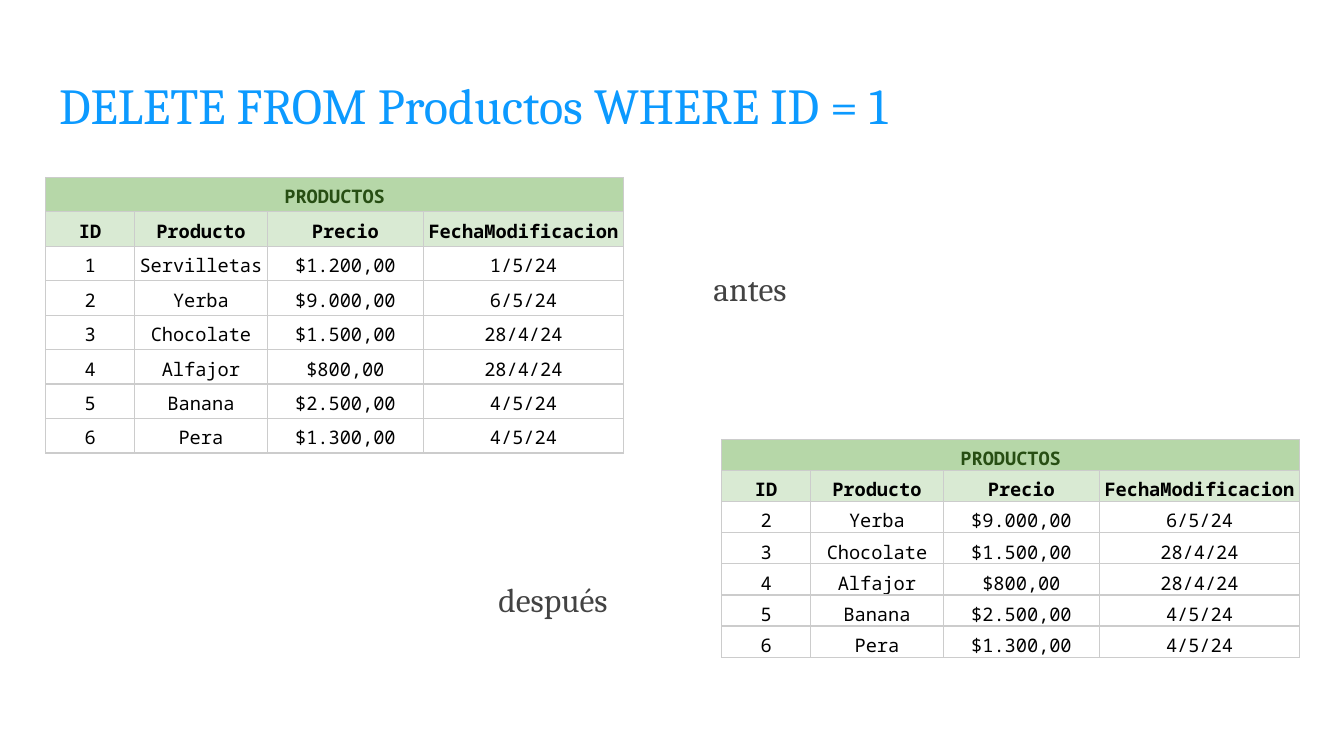
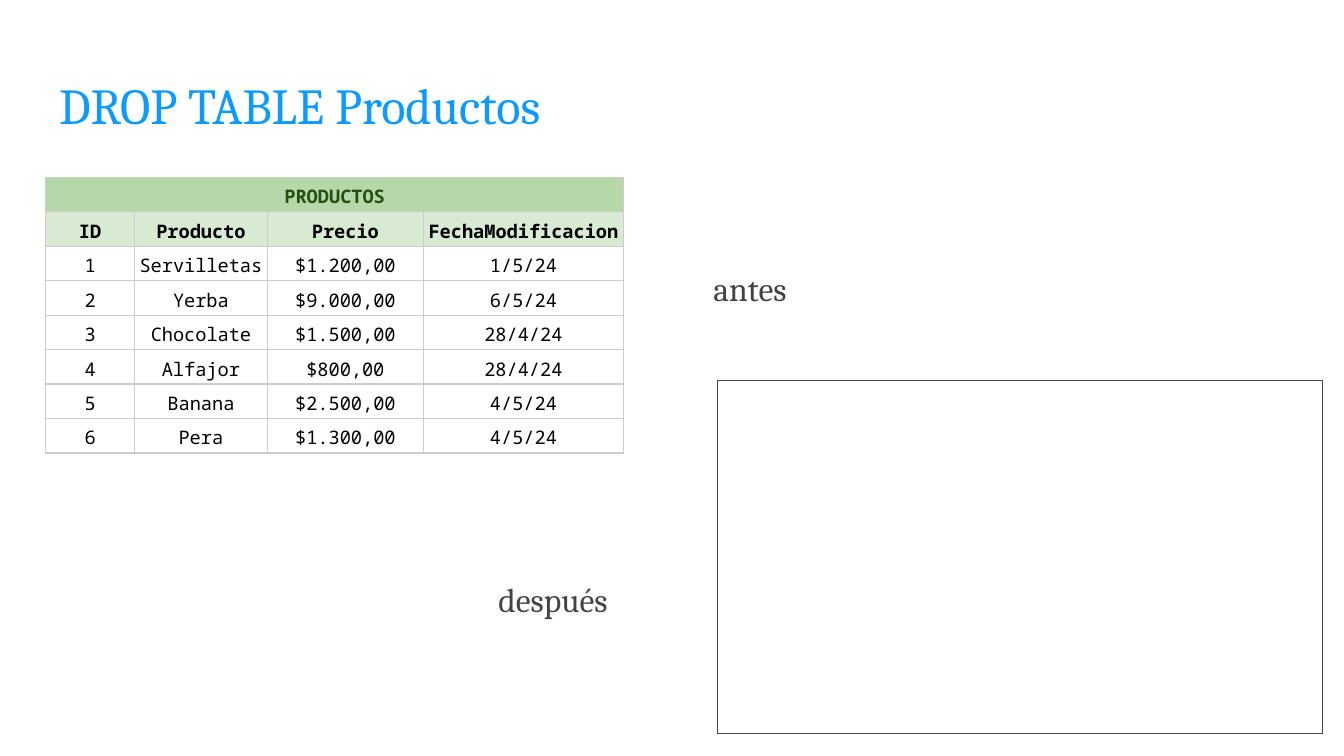
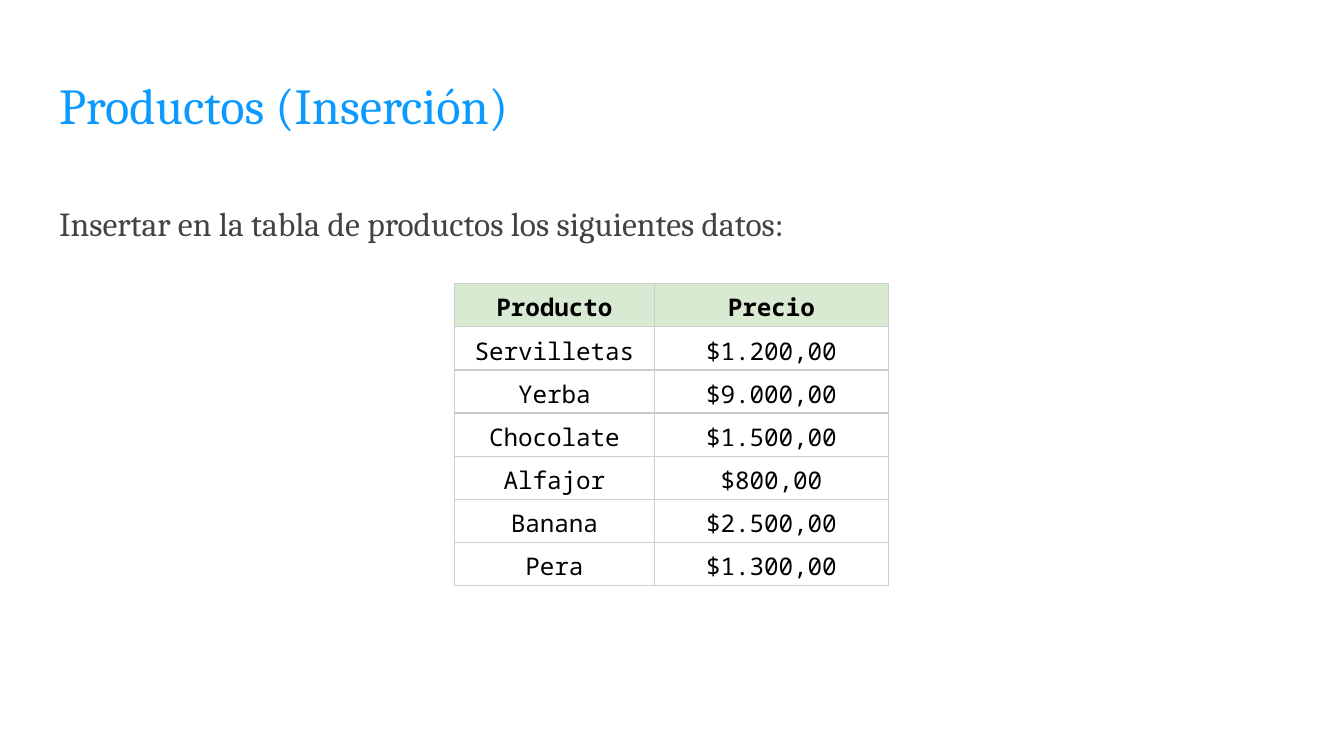
from lxml.etree import SubElement as Sub
from pptx import Presentation
from pptx.dml.color import RGBColor
from pptx.enum.shapes import MSO_SHAPE as Shape
from pptx.enum.text import MSO_ANCHOR as Anchor, MSO_AUTO_SIZE as Fit, PP_ALIGN as Align
from pptx.oxml.ns import qn
from pptx.util import Inches, Pt

# Shared style
HEX = {"title": "0C9AFF", "text": "434343", "rule": "CCCCCC", "band": "B6D7A8",
       "head": "D9EAD3", "name": "274E13", "cell": "000000"}
SERIF, MONO = "Cambria", "Noto Sans Mono"
WIDE, HIGH = Inches(10), Inches(5.625)

# Places, in percent of the slide's width and height
TITLE = (3.4, 8, 93.2, 11.73)
BODY = (3.4, 19.73, 93.2, 64.89)
LEFT, RIGHT, MID = (3.4, 23.47), (53.7, 58.13), (33.8, 37.51)
BEFORE, AFTER = (52.1, 33.6), (36.1, 74.84)
EMPTY = (53.4, 50.31, 45, 46.76)
LINE = 8.9

# Table data
HEADS = ["ID", "Producto", "Precio", "FechaModificacion"]
GOODS = [
    ["1", "Servilletas", "$1.200,00", "1/5/24"],
    ["2", "Yerba", "$9.000,00", "6/5/24"],
    ["3", "Chocolate", "$1.500,00", "28/4/24"],
    ["4", "Alfajor", "$800,00", "28/4/24"],
    ["5", "Banana", "$2.500,00", "4/5/24"],
    ["6", "Pera", "$1.300,00", "4/5/24"],
]
WIDTHS = [6.6, 9.9, 11.6, 14.9]


def across(share):
    return int(WIDE * share / 100)


def down(share):
    return int(HIGH * share / 100)


def box(x, y, w, h):
    return across(x), down(y), across(w), down(h)


def tint(key):
    return RGBColor.from_string(HEX[key])


def write(frame, text, size, color, face=SERIF, bold=False, pad=(0.1, 0.1)):
    """Fill a frame with one paragraph and return that paragraph."""
    frame.text = text
    frame.word_wrap = True
    frame.margin_left = frame.margin_right = Inches(pad[0])
    frame.margin_top = frame.margin_bottom = Inches(pad[1])
    para = frame.paragraphs[0]
    para.alignment = Align.LEFT
    for run in para.runs:
        font = run.font
        font.size, font.name, font.bold = Pt(size), face, bold
        font.color.rgb = tint(color)
    return para


def fill_holder(holder, place, text, size, color):
    holder.left, holder.top, holder.width, holder.height = box(*place)
    frame = holder.text_frame
    para = write(frame, text, size, color)
    frame.auto_size = Fit.NONE
    frame.vertical_anchor = Anchor.TOP
    return para


def add_page(deck, title, layout=5):
    page = deck.slides.add_slide(deck.slide_layouts[layout])
    fill_holder(page.shapes.title, TITLE, title, 27, "title")
    return page


def add_intro(page, text):
    para = fill_holder(page.placeholders[1], BODY, text, 18, "text")
    para.line_spacing = 2.0
    para.space_before, para.space_after = Pt(0), Pt(12)
    props = para._p.get_or_add_pPr()
    props.set("marL", "0")
    props.set("indent", "0")
    Sub(props, qn("a:buNone"))


def add_label(page, spot, width, text):
    label = page.shapes.add_textbox(*box(*spot, width, LINE))
    write(label.text_frame, text, 18, "text")
    label.text_frame.auto_size = Fit.SHAPE_TO_FIT_TEXT


def add_rules(cell):
    props = cell._tc.get_or_add_tcPr()
    for side in ("lnL", "lnR", "lnT", "lnB"):
        rule = Sub(props, qn("a:" + side), w=str(Pt(0.75)))
        Sub(Sub(rule, qn("a:solidFill")), qn("a:srgbClr"), val=HEX["rule"])


def add_grid(page, spot, rows, widths, height, size, anchor, name=None):
    """Add a table with a header row and, if named, a merged band on top."""
    lead = 1 if name else 0
    if name:
        rows = [[name] + [""] * (len(widths) - 1)] + rows
    place = box(*spot, sum(widths), height * len(rows))
    grid = page.shapes.add_table(len(rows), len(widths), *place).table
    grid.first_row = grid.horz_banding = False
    for col, width in zip(grid.columns, widths):
        col.width = across(width)
    for r, row in enumerate(rows):
        grid.rows[r].height = down(height)
        for c, text in enumerate(row):
            cell = grid.cell(r, c)
            color = "name" if r < lead else "cell"
            para = write(cell.text_frame, text, size, color, MONO, r <= lead)
            para.alignment, para.line_spacing = Align.CENTER, 1.15
            cell.margin_left = cell.margin_right = Inches(0.03)
            cell.margin_top = cell.margin_bottom = Inches(0.02)
            cell.vertical_anchor = anchor
            add_rules(cell)
            if r <= lead:
                cell.fill.solid()
                cell.fill.fore_color.rgb = tint("band" if r < lead else "head")
            else:
                cell.fill.background()
    if name:
        grid.cell(0, 0).merge(grid.cell(0, len(widths) - 1))


def add_stock(page, spot, goods):
    add_grid(page, spot, [HEADS] + goods, WIDTHS, 3.91, 10, Anchor.BOTTOM, "PRODUCTOS")


def add_frame(page, place):
    frame = page.shapes.add_shape(Shape.RECTANGLE, *box(*place))
    frame.shadow.inherit = False
    frame.fill.background()
    frame.line.color.rgb = tint("text")
    frame.line.width = Pt(0.75)


def add_change(deck, title, wide):
    """Add a page with the full table and the labels before and after."""
    page = add_page(deck, title)
    add_stock(page, LEFT, GOODS)
    for spot, width, text in zip((BEFORE, AFTER), wide, ("antes", "después")):
        add_label(page, spot, width, text)
    return page


def main():
    deck = Presentation()
    deck.slide_width, deck.slide_height = WIDE, HIGH

    # Delete one row
    page = add_change(deck, "DELETE FROM Productos WHERE ID = 1", (48.2, 64.2))
    add_stock(page, RIGHT, GOODS[1:])

    # Drop the whole table
    page = add_change(deck, "DROP TABLE Productos", (10.3, 12.7))
    add_frame(page, EMPTY)

    # Insert exercise
    page = add_page(deck, "Productos (Inserción)", 1)
    add_intro(page, "Insertar en la tabla de productos los siguientes datos:")
    rows = [row[1:3] for row in [HEADS] + GOODS]
    add_grid(page, MID, rows, [14.9, 17.4], 5.69, 13, Anchor.MIDDLE)

    deck.save("out.pptx")


if __name__ == "__main__":
    main()
